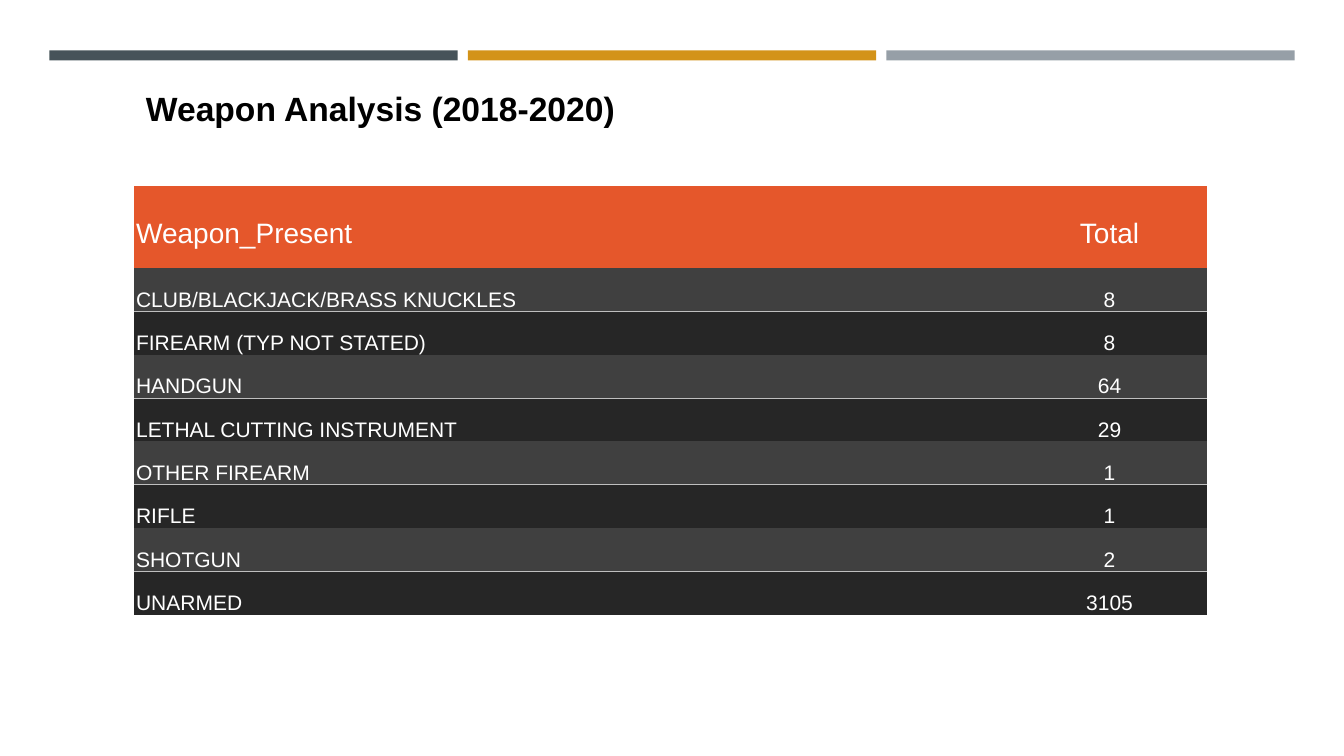
from lxml import etree
from pptx import Presentation
from pptx.dml.color import RGBColor
from pptx.enum.shapes import MSO_SHAPE as Shape
from pptx.enum.text import MSO_ANCHOR as Anchor, PP_ALIGN as Align
from pptx.oxml.ns import qn
from pptx.util import Inches, Pt

FONT = "Arial"
WHITE = "FFFFFF"
HEADER_FILL = "E5572B"
ROW_FILLS = ["404040", "262626"]
RULE_COLOR = "BFBFBF"
BAR_COLORS = ["465359", "D39319", "969FA7"]
COLUMN_WIDTHS = [8.71, 1.93]
HEADER_HEIGHT = 0.81
ROW_HEIGHT = 0.43
HEADER = ("Weapon_Present", "Total")
WEAPONS = [
    ("CLUB/BLACKJACK/BRASS KNUCKLES", 8),
    ("FIREARM (TYP NOT STATED)", 8),
    ("HANDGUN", 64),
    ("LETHAL CUTTING INSTRUMENT", 29),
    ("OTHER FIREARM", 1),
    ("RIFLE", 1),
    ("SHOTGUN", 2),
    ("UNARMED", 3105),
]


def color(value):
    return RGBColor.from_string(value)


def add_run(paragraph, text, size, font_color, bold=False):
    run = paragraph.add_run()
    run.text = text
    run.font.name = FONT
    run.font.size = Pt(size)
    run.font.bold = bold
    run.font.color.rgb = color(font_color)


def add_bar(slide, left, fill):
    shape = slide.shapes.add_shape(
        Shape.RECTANGLE, Inches(left), Inches(0.5), Inches(4.05), Inches(0.1)
    )
    shape.shadow.inherit = False
    shape.fill.solid()
    shape.fill.fore_color.rgb = color(fill)
    shape.line.fill.background()


def add_title(slide, text):
    box = slide.shapes.add_textbox(
        Inches(1.35), Inches(0.82), Inches(6.67), Inches(0.5)
    )
    box.text_frame.word_wrap = True
    add_run(box.text_frame.paragraphs[0], text, 24, "000000", bold=True)


def set_borders(cell, ruled_side):
    properties = cell._tc.get_or_add_tcPr()
    for position, side in enumerate(["lnL", "lnR", "lnT", "lnB"]):
        line = etree.Element(qn(f"a:{side}"), w=str(Pt(1)))
        if side == ruled_side:
            fill = etree.SubElement(line, qn("a:solidFill"))
            etree.SubElement(fill, qn("a:srgbClr"), val=RULE_COLOR)
        else:
            etree.SubElement(line, qn("a:noFill"))
        properties.insert(position, line)


def fill_cell(cell, text, size, fill, anchor, align, ruled_side):
    cell.margin_left = cell.margin_right = Inches(0.02)
    cell.margin_top = Inches(0.13)
    cell.margin_bottom = 0
    cell.vertical_anchor = anchor
    cell.fill.solid()
    cell.fill.fore_color.rgb = color(fill)
    set_borders(cell, ruled_side)
    paragraph = cell.text_frame.paragraphs[0]
    paragraph.alignment = align
    add_run(paragraph, text, size, WHITE)


def fill_row(table, index, values, size, fill, anchor, ruled_side=None):
    for cell, value, align in zip(
        table.rows[index].cells, values, [Align.LEFT, Align.CENTER]
    ):
        fill_cell(cell, str(value), size, fill, anchor, align, ruled_side)


def add_weapon_table(slide):
    height = HEADER_HEIGHT + ROW_HEIGHT * len(WEAPONS)
    table = slide.shapes.add_table(
        len(WEAPONS) + 1, len(HEADER),
        Inches(1.33), Inches(1.85), Inches(sum(COLUMN_WIDTHS)), Inches(height),
    ).table
    for column, width in zip(table.columns, COLUMN_WIDTHS):
        column.width = Inches(width)
    for row in table.rows:
        row.height = Inches(ROW_HEIGHT)
    table.rows[0].height = Inches(HEADER_HEIGHT)
    fill_row(table, 0, HEADER, 20, HEADER_FILL, Anchor.MIDDLE)
    for index, weapon in enumerate(WEAPONS):
        band = index % 2
        ruled_side = ["lnB", "lnT"][band]
        fill_row(table, index + 1, weapon, 15, ROW_FILLS[band], Anchor.BOTTOM, ruled_side)


def main():
    presentation = Presentation()
    presentation.slide_width = Inches(13.33)
    presentation.slide_height = Inches(7.5)
    slide = presentation.slides.add_slide(presentation.slide_layouts[6])
    slide.background.fill.solid()
    slide.background.fill.fore_color.rgb = color(WHITE)
    for index, fill in enumerate(BAR_COLORS):
        add_bar(slide, 0.49 + 4.15 * index, fill)
    add_weapon_table(slide)
    add_title(slide, "Weapon Analysis (2018-2020)")
    presentation.save("out.pptx")


if __name__ == "__main__":
    main()
